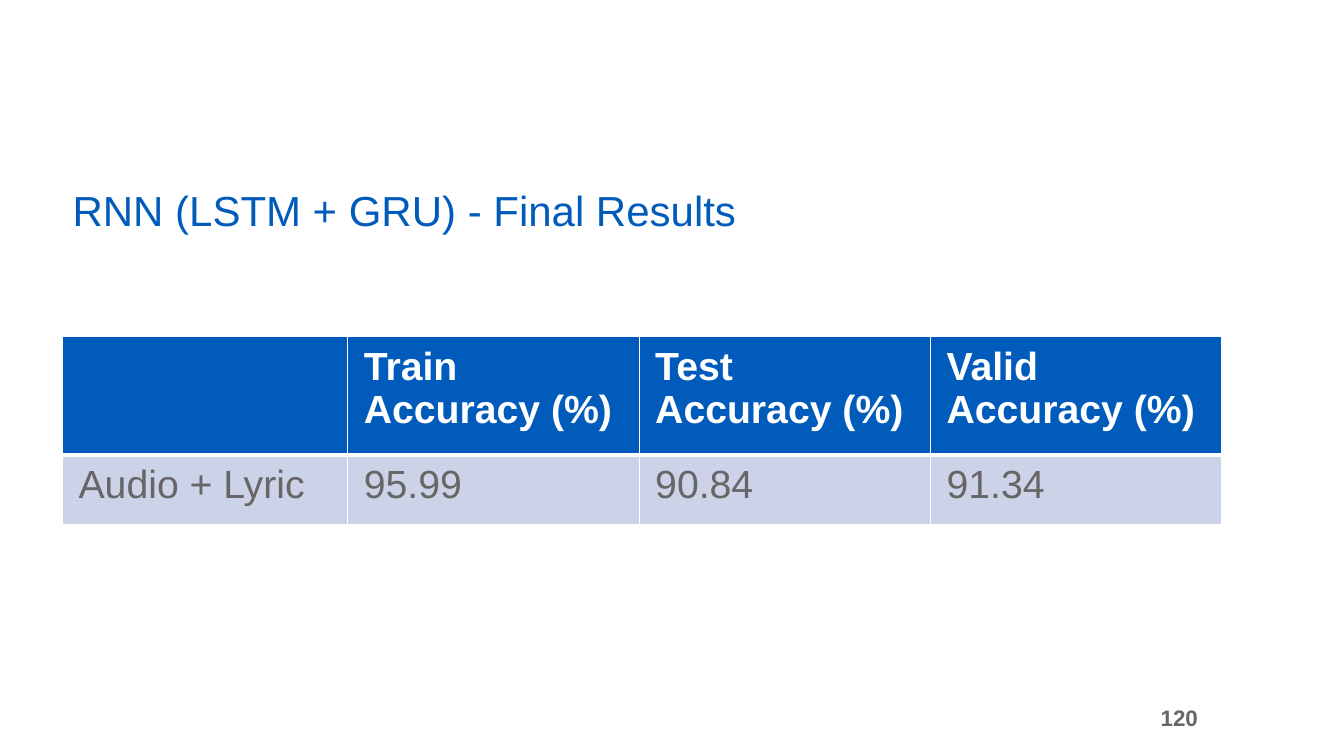
import dataclasses

import pptx
import pptx.dml.color
import pptx.enum.text
import pptx.oxml.ns
import pptx.util
from lxml import etree

ALIGN = pptx.enum.text.PP_ALIGN
ANCHOR = pptx.enum.text.MSO_ANCHOR
SLIDE_WIDTH, SLIDE_HEIGHT = 13.33, 7.5


@dataclasses.dataclass(frozen=True)
class Theme:
    font: str = "Arial"
    blue: str = "005BBB"
    grey: str = "666666"
    pale: str = "CCD2E7"
    white: str = "FFFFFF"
    title_size: int = 30
    table_size: int = 28
    number_size: int = 16
    thin: int = 1
    thick: int = 3


THEME = Theme()
RESULTS = [
    ["", "Train Accuracy (%)", "Test Accuracy (%)", "Valid Accuracy (%)"],
    ["Audio + Lyric", "95.99", "90.84", "91.34"],
]


def inches(*lengths):
    return [pptx.util.Inches(length) for length in lengths]


def write(frame, text, size, color, bold=False, align=ALIGN.LEFT, spacing=None):
    """Put one formatted paragraph into a text frame."""
    paragraph = frame.paragraphs[0]
    paragraph.alignment = align
    paragraph.line_spacing = spacing
    run = paragraph.add_run()
    run.text = text
    run.font.name = THEME.font
    run.font.size = pptx.util.Pt(size)
    run.font.bold = bold
    run.font.color.rgb = pptx.dml.color.RGBColor.from_string(color)


def set_borders(cell, **widths):
    """Draw white cell borders, given in the order L, R, T, B."""
    properties = cell._tc.get_or_add_tcPr()
    for position, (side, width) in enumerate(widths.items()):
        line = etree.Element(pptx.oxml.ns.qn(f"a:ln{side}"),
                             w=str(pptx.util.Pt(width)))
        fill = etree.SubElement(line, pptx.oxml.ns.qn("a:solidFill"))
        etree.SubElement(fill, pptx.oxml.ns.qn("a:srgbClr"), val=THEME.white)
        properties.insert(position, line)


def add_title(slide, box, text):
    title = slide.shapes.title
    title.left, title.top, title.width, title.height = inches(*box)
    frame = title.text_frame
    frame.word_wrap = True
    frame.auto_size = pptx.enum.text.MSO_AUTO_SIZE.NONE
    frame.vertical_anchor = ANCHOR.BOTTOM
    write(frame, text, THEME.title_size, THEME.blue, spacing=0.9)


def format_cell(cell, text, is_header):
    cell.margin_left, cell.margin_right = inches(0.16, 0.16)
    cell.margin_top, cell.margin_bottom = inches(0.08, 0.08)
    cell.fill.solid()
    cell.fill.fore_color.rgb = pptx.dml.color.RGBColor.from_string(
        THEME.blue if is_header else THEME.pale)
    set_borders(cell, L=THEME.thin, R=THEME.thin,
                T=THEME.thin if is_header else THEME.thick,
                B=THEME.thick if is_header else THEME.thin)
    if text:
        write(cell.text_frame, text, THEME.table_size,
              THEME.white if is_header else THEME.grey, bold=is_header)


def add_results(slide, box, results, label_share=0.246, header_share=0.63):
    """Label column first, then equal value columns; header row on top."""
    width, height = box[2:]
    table = slide.shapes.add_table(
        len(results), len(results[0]), *inches(*box)).table

    # Column and row sizes as shares of the box
    value_share = (1 - label_share) / (len(results[0]) - 1)
    for index, column in enumerate(table.columns):
        column.width = pptx.util.Inches(
            width * (value_share if index else label_share))
    body_share = (1 - header_share) / (len(results) - 1)
    for index, row in enumerate(table.rows):
        row.height = pptx.util.Inches(
            height * (body_share if index else header_share))

    # Cells
    for row_index, values in enumerate(results):
        for column_index, value in enumerate(values):
            format_cell(table.cell(row_index, column_index), value,
                        is_header=row_index == 0)


def add_page_number(slide, box, number):
    frame = slide.shapes.add_textbox(*inches(*box)).text_frame
    frame.word_wrap = True
    frame.vertical_anchor = ANCHOR.MIDDLE
    frame.margin_left, frame.margin_right = inches(0.13, 0.13)
    frame.margin_top, frame.margin_bottom = inches(0.07, 0.07)
    write(frame, number, THEME.number_size, THEME.grey, bold=True,
          align=ALIGN.RIGHT)


def build_results_slide(deck):
    slide = deck.slides.add_slide(deck.slide_layouts[5])
    left, content_width = 0.62, 11.5
    add_title(slide, (left, 1.44, content_width, 0.95),
              "RNN (LSTM + GRU) - Final Results")
    add_results(slide, (left, 3.34, content_width, 1.86), RESULTS)
    add_page_number(slide, (11.22, 6.83, 0.79, 0.58), "120")


def main():
    deck = pptx.Presentation()
    deck.slide_width, deck.slide_height = inches(SLIDE_WIDTH, SLIDE_HEIGHT)
    build_results_slide(deck)
    deck.save("out.pptx")


if __name__ == "__main__":
    main()
